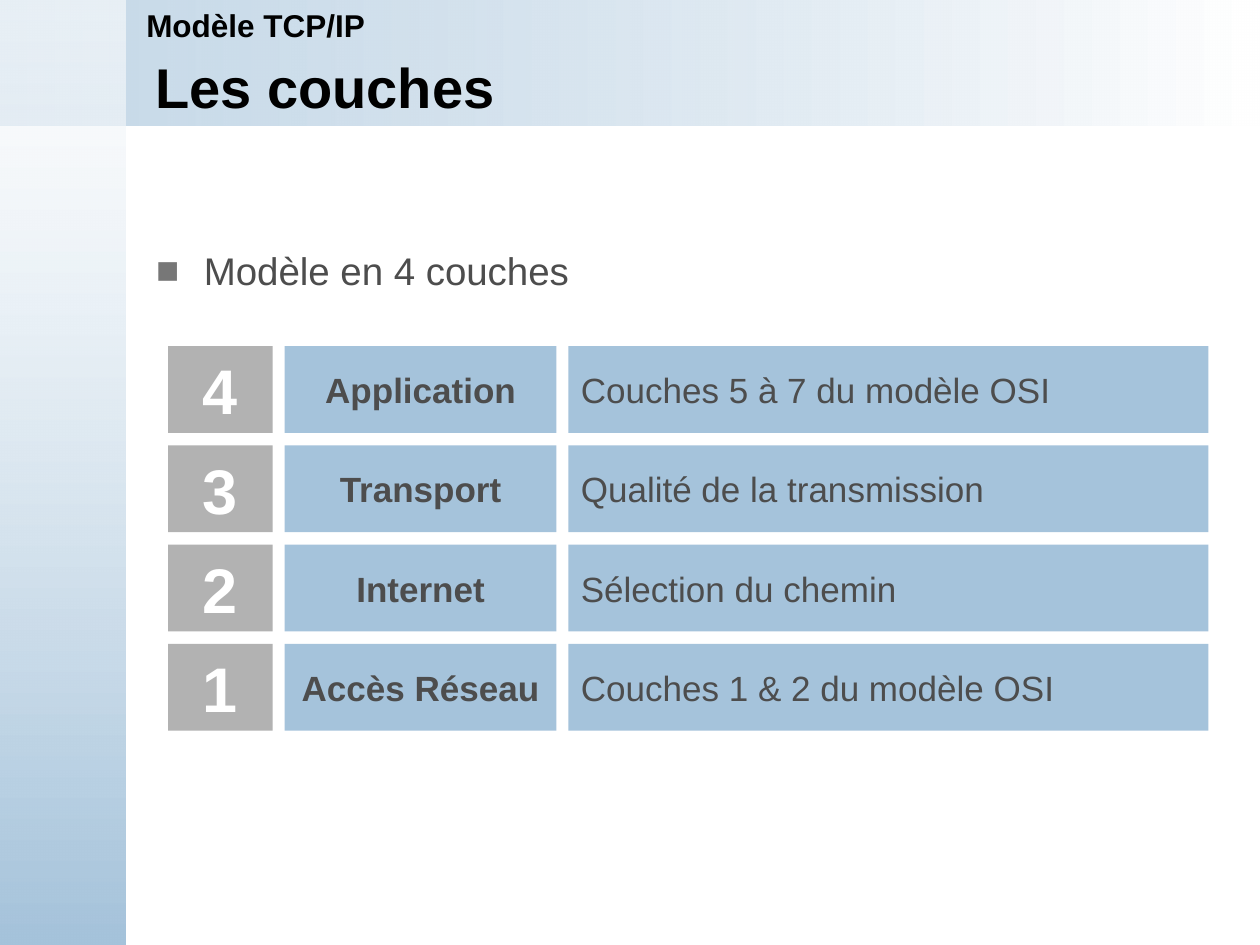
from lxml.etree import SubElement
from pptx import Presentation
from pptx.dml.color import RGBColor
from pptx.enum.shapes import MSO_SHAPE
from pptx.enum.text import MSO_ANCHOR, PP_ALIGN
from pptx.oxml.ns import qn
from pptx.util import Cm, Pt

BLUE, WHITE, BLACK = "A5C3DB", "FFFFFF", "000000"
GREY, DARK_GREY, BULLET_GREY = "B2B2B2", "4D4D4D", "777777"

LAYERS = [
    ("4", "Application", "Couches 5 à 7 du modèle OSI"),
    ("3", "Transport", "Qualité de la transmission"),
    ("2", "Internet", "Sélection du chemin"),
    ("1", "Accès Réseau", "Couches 1 & 2 du modèle OSI"),
]


def color(hex_string):
    return RGBColor.from_string(hex_string)


def add_rectangle(slide, left, top, width, height, fill=None):
    shape = slide.shapes.add_shape(
        MSO_SHAPE.RECTANGLE, Cm(left), Cm(top), Cm(width), Cm(height))
    shape.shadow.inherit = False
    shape.line.fill.background()
    if fill:
        shape.fill.solid()
        shape.fill.fore_color.rgb = color(fill)
    return shape


def add_text_box(slide, left, top, width, height):
    return slide.shapes.add_textbox(Cm(left), Cm(top), Cm(width), Cm(height))


def write(shape, text, size=20, font_color=DARK_GREY, bold=False,
          align=PP_ALIGN.LEFT, anchor=MSO_ANCHOR.MIDDLE, bullet=None):
    frame = shape.text_frame
    frame.word_wrap = True
    frame.vertical_anchor = anchor
    paragraph = frame.paragraphs[0]
    paragraph.alignment = align
    if bullet:
        add_bullet(paragraph, bullet)
    run = paragraph.add_run()
    run.text = text
    run.font.name = "Arial"
    run.font.size = Pt(size)
    run.font.bold = bold
    run.font.color.rgb = color(font_color)


def add_bullet(paragraph, character, indent=0.96):
    properties = paragraph._p.get_or_add_pPr()
    properties.set("marL", str(Cm(indent)))
    properties.set("indent", str(-Cm(indent)))
    bullet_color = SubElement(properties, qn("a:buClr"))
    SubElement(bullet_color, qn("a:srgbClr"), val=BULLET_GREY)
    SubElement(properties, qn("a:buFont"), typeface="Arial")
    SubElement(properties, qn("a:buChar"), char=character)


def add_gradient_band(slide, left, top, width, height, start, end, angle, opacity):
    """Fade from start, at the given opacity in percent, to a solid end."""
    shape = add_rectangle(slide, left, top, width, height)
    shape.fill.gradient()
    shape.fill.gradient_angle = angle
    for stop, stop_color in zip(shape.fill.gradient_stops, (start, end)):
        stop.color.rgb = color(stop_color)
    first_color = next(shape._element.spPr.iter(qn("a:srgbClr")))
    SubElement(first_color, qn("a:alpha"), val=str(opacity * 1000))


def add_background(slide, width, height, band=2.54):
    add_gradient_band(slide, 0, 0, width, band, BLUE, WHITE, 0, 62)
    add_gradient_band(slide, 0, 0, band, height, WHITE, BLUE, 270, 59)


def add_header(slide, left, top, width):
    title = add_text_box(slide, left + 0.18, top + 1.12, width - 1.25, 1.24)
    write(title, "Les couches", size=32, font_color=BLACK, bold=True)
    topic = add_text_box(slide, left, top, width, 1.02)
    write(topic, "Modèle TCP/IP", size=18, font_color=BLACK, bold=True,
          anchor=MSO_ANCHOR.TOP)


def add_statement(slide, left, top, width, height):
    box = add_text_box(slide, left, top, width, height)
    write(box, "Modèle en 4 couches", size=22, anchor=MSO_ANCHOR.TOP, bullet="■")


def add_layer_stack(slide, left, top, width, row_height=1.75, pitch=2, gap=0.24):
    number_width, name_width = 2.11, 5.48
    name_left = left + number_width + gap
    role_left = name_left + name_width + gap
    role_width = left + width - role_left
    for row, (number, name, role) in enumerate(LAYERS):
        row_top = top + row * pitch
        cell = add_rectangle(slide, left, row_top, number_width, row_height, GREY)
        write(cell, number, size=36, font_color=WHITE, bold=True,
              align=PP_ALIGN.CENTER)
        cell = add_rectangle(slide, name_left, row_top, name_width, row_height, BLUE)
        write(cell, name, bold=True, align=PP_ALIGN.CENTER)
        cell = add_rectangle(slide, role_left, row_top, role_width, row_height, BLUE)
        write(cell, role)


def main():
    presentation = Presentation()
    presentation.slide_width, presentation.slide_height = Cm(25.4), Cm(19.05)
    slide = presentation.slides.add_slide(presentation.slide_layouts[6])

    # Gradient bands along the top and the left edge
    add_background(slide, 25.4, 19.05)
    # Topic and title
    add_header(slide, 2.7, 0, 22.7)
    # Bulleted statement, then the four layers
    add_statement(slide, 2.9, 4.85, 21.4, 1.2)
    add_layer_stack(slide, 3.39, 6.98, 20.97)

    presentation.save("out.pptx")


if __name__ == "__main__":
    main()
